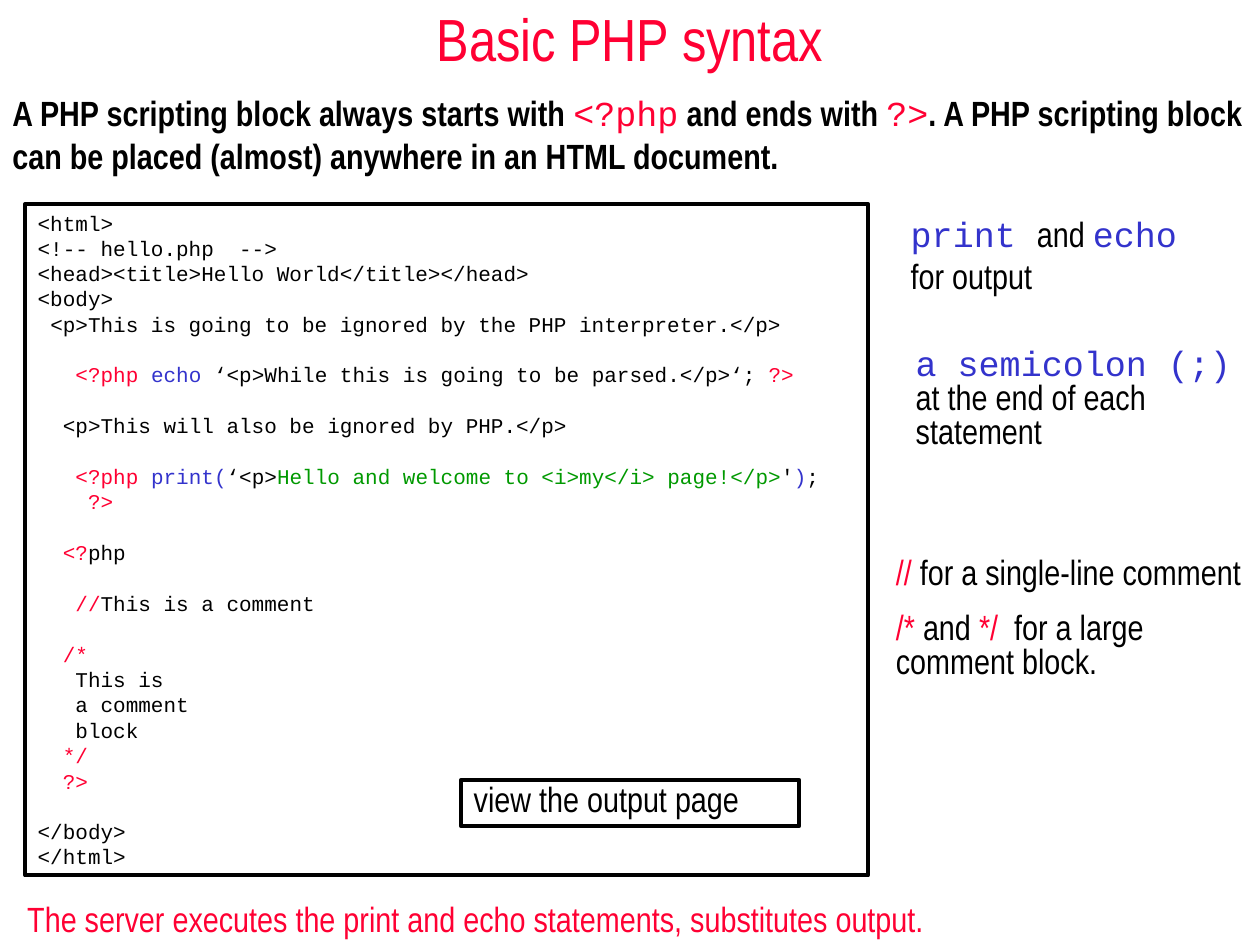
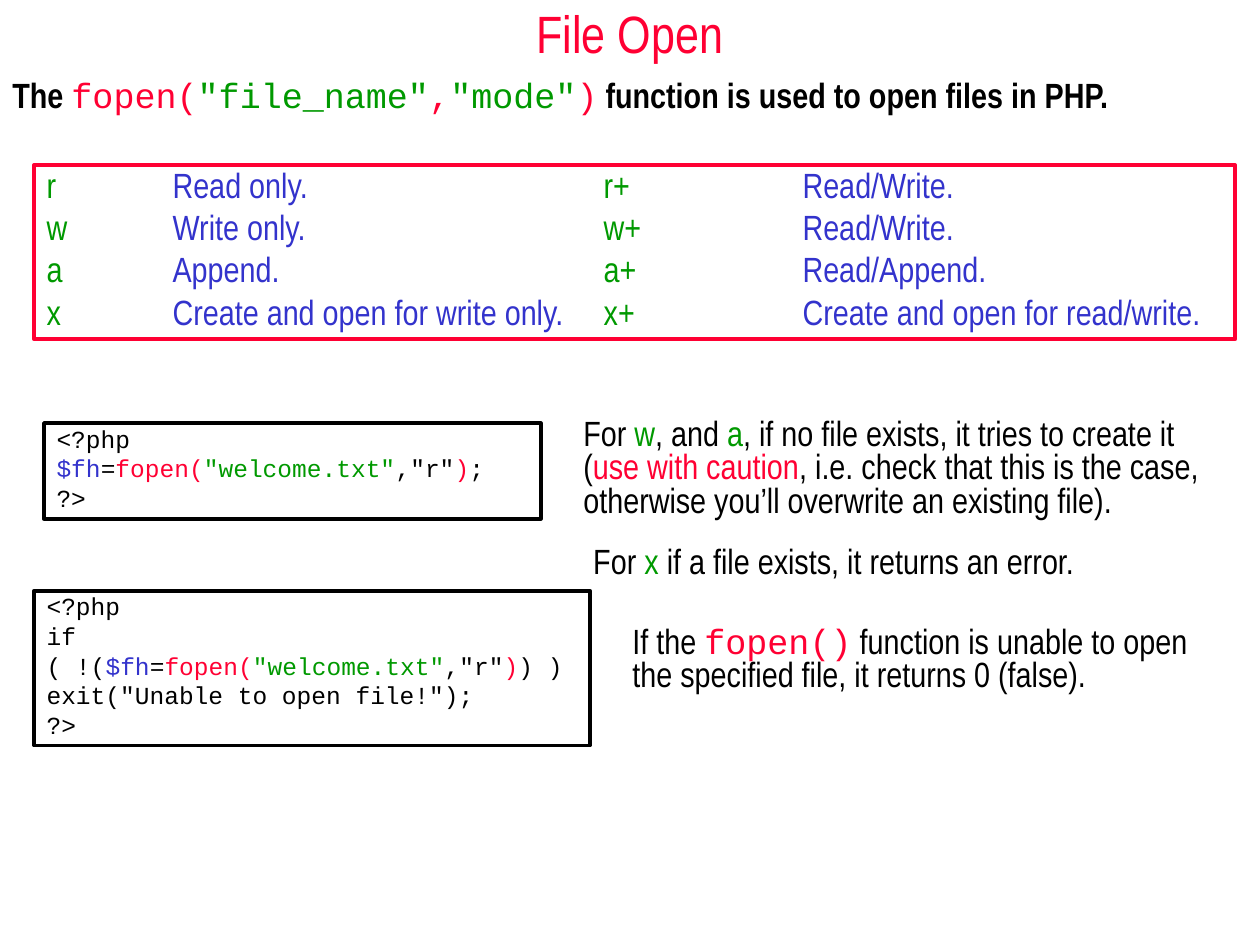
from lxml.etree import SubElement
from pptx import Presentation
from pptx.dml.color import RGBColor
from pptx.enum.shapes import MSO_SHAPE as SHAPE
from pptx.enum.text import MSO_ANCHOR as ANCHOR, MSO_AUTO_SIZE as AUTO_SIZE, PP_ALIGN as ALIGN
from pptx.oxml.ns import qn
from pptx.util import Cm, Pt

BLACK = RGBColor(0x00, 0x00, 0x00)
RED = RGBColor(0xFF, 0x00, 0x33)
BLUE = RGBColor(0x33, 0x33, 0xCC)
GREEN = RGBColor(0x00, 0x99, 0x00)

NARROW = "Arial Narrow"
MONO = "Courier New"

SLIDE_WIDTH, SLIDE_HEIGHT = 25.4, 19.05
LISTING_CHAR = Pt(7.2)      # width of one 12 pt character
LISTING_LINE = 14.5         # height of one listing line, in points

FOPEN_CALL = [("$fh", BLUE), "=", ("fopen(", RED), ('"welcome.txt"', GREEN), ',"r"', (")", RED)]

# Blocks of lines with a blank line between them; a line is (indent in characters, runs).
PAGE_LISTING = [
    [(0, ["<html>"]),
     (0, ["<!-- hello.php  -->"]),
     (0, ["<head><title>Hello World</title></head>"]),
     (0, ["<body>"]),
     (1, ["<p>This is going to be ignored by the PHP interpreter.</p>"])],
    [(3, [("<?php ", RED), ("echo ", BLUE),
          "‘<p>While this is going to be parsed.</p>‘; ", ("?>", RED)])],
    [(2, ["<p>This will also be ignored by PHP.</p>"])],
    [(3, [("<?php ", RED), ("print(", BLUE), "‘<p>",
          ("Hello and welcome to <i>my</i> page!</p>", GREEN), "'", (")", BLUE), ";"]),
     (4, [("?>", RED)])],
    [(2, [("<?", RED), "php"])],
    [(3, [("//", RED), "This is a comment"])],
    [(2, [("/*", RED)]),
     (3, ["This is"]),
     (3, ["a comment"]),
     (3, ["block"]),
     (2, [("*/", RED)]),
     (2, [("?>", RED)])],
    [(0, ["</body>"]),
     (0, ["</html>"])],
]

FILE_MODES = [
    ("r", "Read only.", "Read/Write."),
    ("w", "Write only.", "Read/Write."),
    ("a", "Append.", "Read/Append."),
    ("x", "Create and open for write only.", "Create and open for read/write."),
]
MODE_TABS = [2.54, 11.23, 15.24]


def write_runs(paragraph, runs, font, size, bold=False):
    """A run is a plain string (black) or (text, colour[, font]); bold holds for the main font."""
    for item in runs:
        text, colour, *other_font = (item, BLACK) if isinstance(item, str) else item
        run = paragraph.add_run()
        run.text = text
        run.font.name = other_font[0] if other_font else font
        run.font.size = Pt(size)
        run.font.bold = bold and not other_font
        run.font.color.rgb = colour


def add_title(prs, text, height, size):
    """Start a title-only slide and return it."""
    slide = prs.slides.add_slide(prs.slide_layouts[5])
    title = slide.shapes.title
    title.left, title.top = Cm(0), Cm(0)
    title.width, title.height = Cm(SLIDE_WIDTH), Cm(height)
    frame = title.text_frame
    frame.auto_size = AUTO_SIZE.NONE
    frame.vertical_anchor = ANCHOR.MIDDLE
    frame.paragraphs[0].alignment = ALIGN.CENTER
    write_runs(frame.paragraphs[0], [(text, RED)], NARROW, size)
    return slide


def add_text(slide, place, paragraphs, font=NARROW, size=20, bold=False,
             spacing=0.8, before=12.5, border=None):
    """Add a text box, or a framed rectangle when a border colour is given."""
    box = [Cm(length) for length in place]
    if border is None:
        shape = slide.shapes.add_textbox(*box)
    else:
        shape = slide.shapes.add_shape(SHAPE.RECTANGLE, *box)
        shape.shadow.inherit = False
        shape.fill.background()
        shape.line.color.rgb = border
        shape.line.width = Pt(2.25)
    frame = shape.text_frame
    frame.word_wrap = True
    frame.vertical_anchor = ANCHOR.TOP
    for index, runs in enumerate(paragraphs):
        paragraph = frame.add_paragraph() if index else frame.paragraphs[0]
        paragraph.alignment = ALIGN.LEFT
        paragraph.line_spacing = spacing
        paragraph.space_before = Pt(before)
        write_runs(paragraph, runs, font, size, bold)
    return frame


def add_code(slide, place, lines):
    add_text(slide, place, lines, font=MONO, size=14, before=3.5, border=BLACK)


def add_page_listing(slide, place):
    lines = [line for block in PAGE_LISTING for line in block]
    block_starts = [block[0] for block in PAGE_LISTING[1:]]
    frame = add_text(slide, place, [runs for _, runs in lines],
                     font=MONO, size=12, before=3, border=BLACK)
    for paragraph, line in zip(frame.paragraphs, lines):
        indent = line[0]
        gap = LISTING_LINE if line in block_starts else 0
        paragraph.line_spacing = 0.8 if indent else 1.0
        paragraph.space_before = Pt(gap + (3 if indent else 0))
        properties = paragraph._p.get_or_add_pPr()
        properties.set("marL", str(indent * LISTING_CHAR))
        properties.set("indent", "0")


def add_file_modes(slide, place):
    rows = [[(f"{mode}\t", GREEN), (f"{use}\t", BLUE), (f"{mode}+\t", GREEN), (plus_use, BLUE)]
            for mode, use, plus_use in FILE_MODES]
    frame = add_text(slide, place, rows, before=5, border=RED)
    for paragraph in frame.paragraphs:
        tabs = SubElement(paragraph._p.get_or_add_pPr(), qn("a:tabLst"))
        for position in MODE_TABS:
            SubElement(tabs, qn("a:tab"), pos=str(Cm(position)), algn="l")


def build_syntax_slide(prs):
    slide = add_title(prs, "Basic PHP syntax", 1.52, 34)
    add_text(slide, (0, 1.73, SLIDE_WIDTH, 2.01),
             [["A PHP scripting block always starts with ", ("<?php", RED, MONO),
               " and ends with ", ("?>", RED, MONO),
               ". A PHP scripting block can be placed (almost) anywhere in an HTML document."]],
             bold=True, spacing=1.0, before=5)
    add_page_listing(slide, (0.51, 4.11, 16.99, 13.54))
    add_text(slide, (0.3, 17.96, 23.8, 1.09),
             [[("The server executes the print and echo statements, substitutes output.", RED)]],
             spacing=1.0)
    add_text(slide, (18.11, 4.32, 6.81, 1.8),
             [[("print ", BLUE, MONO), "and ", ("echo", BLUE, MONO)], ["for output"]], before=5)
    add_text(slide, (18.21, 6.93, 7.19, 2.29),
             [[("a semicolon (;)", BLUE, MONO), " at the end of each statement"]])
    add_text(slide, (9.3, 15.72, 6.81, 0.94), [["view the output page"]], border=BLACK)
    add_text(slide, (17.81, 11.13, 7.59, 2.74),
             [[("//", RED), " for a single-line comment"],
              [("/*", RED), " and ", ("*/", RED), "  for a large comment block."]])


def build_file_open_slide(prs):
    slide = add_title(prs, "File Open", 1.32, 30)
    add_text(slide, (0, 1.52, SLIDE_WIDTH, 0.99),
             [["The ", ("fopen(", RED, MONO), ('"file_name"', GREEN, MONO), (",", RED, MONO),
               ('"mode"', GREEN, MONO), (")", RED, MONO),
               " function is used to open files in PHP."]],
             bold=True, before=5)
    add_code(slide, (0.89, 8.53, 10.01, 1.93), [["<?php"], [*FOPEN_CALL, ";"], ["?>"]])
    add_file_modes(slide, (0.69, 3.33, 24.21, 3.51))
    add_text(slide, (12.5, 12.52, 11.81, 1.63),
             [["If the ", ("fopen()", RED, MONO),
               " function is unable to open the specified file, it returns 0 (false)."]])
    add_code(slide, (0.69, 11.91, 11.2, 3.12),
             [["<?php"], ["if"], ["( !(", *FOPEN_CALL, ") )"],
              ['exit("Unable to open file!");'], ["?>"]])
    add_text(slide, (11.51, 8.33, 13.41, 2.29),
             [["For ", ("w", GREEN), ", and ", ("a", GREEN),
               ", if no file exists, it tries to create it (", ("use with caution", RED),
               ", i.e. check that this is the case, otherwise you’ll overwrite an existing file)."]])
    add_text(slide, (11.71, 10.92, 12.09, 0.94),
             [["For ", ("x", GREEN), " if a file exists, it returns an error."]])


def main():
    prs = Presentation()
    prs.slide_width, prs.slide_height = Cm(SLIDE_WIDTH), Cm(SLIDE_HEIGHT)
    build_syntax_slide(prs)
    build_file_open_slide(prs)
    prs.save("out.pptx")


if __name__ == "__main__":
    main()
